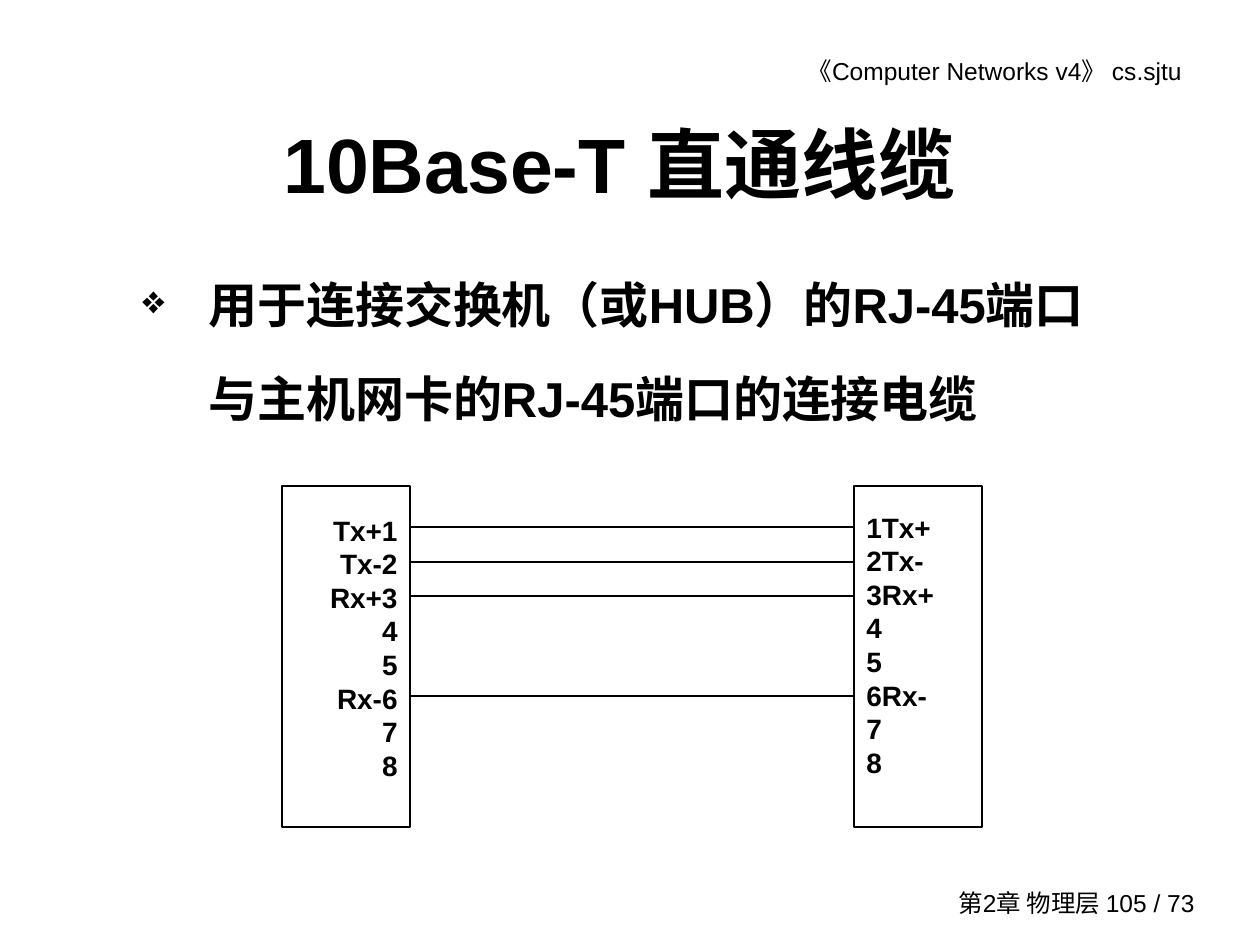
from lxml import etree
from pptx import Presentation
from pptx.dml.color import RGBColor
from pptx.enum.shapes import MSO_CONNECTOR, MSO_SHAPE
from pptx.enum.text import MSO_ANCHOR, PP_ALIGN
from pptx.oxml.ns import qn
from pptx.util import Emu, Pt

LEFT, RIGHT, CENTER, JUSTIFY = PP_ALIGN.LEFT, PP_ALIGN.RIGHT, PP_ALIGN.CENTER, PP_ALIGN.JUSTIFY
TOP, MIDDLE = MSO_ANCHOR.TOP, MSO_ANCHOR.MIDDLE
RECTANGLE = MSO_SHAPE.RECTANGLE
STRAIGHT = MSO_CONNECTOR.STRAIGHT
BLACK = RGBColor(0x00, 0x00, 0x00)
FONT = "Arial"
PX_PER_INCH = 126


def px(count):
    return Emu(round(count * 914400 / PX_PER_INCH))


def add_text(bounds, lines, size, align, anchor=TOP, bold=False):
    frame = slide.shapes.add_textbox(*map(px, bounds)).text_frame
    frame.word_wrap = True
    frame.vertical_anchor = anchor
    for index, line in enumerate(lines):
        paragraph = frame.add_paragraph() if index else frame.paragraphs[0]
        paragraph.alignment = align
        run = paragraph.add_run()
        run.text = line
        run.font.name = FONT
        run.font.size = Pt(size)
        run.font.bold = bold
        run.font.color.rgb = BLACK
    return frame


deck = Presentation()
deck.slide_width, deck.slide_height = px(1260), px(945)
slide = deck.slides.add_slide(deck.slide_layouts[6])

add_text((665, 50, 529, 43), ["《Computer Networks v4》 cs.sjtu"], 14, RIGHT)
add_text((922, 882, 285, 42), ["第2章 物理层 105 / 73"], 14, RIGHT, MIDDLE)
add_text((84, 84, 1071, 158), ["10Base-T 直通线缆"], 44, CENTER, MIDDLE, True)

purpose = add_text(
    (130, 233, 1014, 270),
    ["用于连接交换机（或HUB）的RJ-45端口与主机网卡的RJ-45端口的连接电缆"],
    28, LEFT, bold=True,
).paragraphs[0]
purpose.line_spacing = 1.6
properties = purpose._p.get_or_add_pPr()
properties.set("marL", str(px(66)))
properties.set("indent", str(px(-66)))
bullet_color = etree.SubElement(properties, qn("a:buClr"))
etree.SubElement(bullet_color, qn("a:srgbClr"), val=str(BLACK))
etree.SubElement(properties, qn("a:buSzPct"), val="80000")
etree.SubElement(properties, qn("a:buChar"), char="❖")

PORT_TOP, PORT_WIDTH, PORT_HEIGHT = 486, 128, 341
HOST_LEFT, SWITCH_LEFT = 282, 854
for port_left in (HOST_LEFT, SWITCH_LEFT):
    port = slide.shapes.add_shape(
        RECTANGLE, px(port_left), px(PORT_TOP), px(PORT_WIDTH), px(PORT_HEIGHT))
    port.shadow.inherit = False
    port.fill.background()
    port.line.color.rgb = BLACK
    port.line.width = Pt(0.75)

signals = ["Tx+", "Tx-", "Rx+", "", "", "Rx-", "", ""]
host_pins = [f"{signal}{pin}" for pin, signal in enumerate(signals, 1)]
switch_pins = [f"{pin}{signal}" for pin, signal in enumerate(signals, 1)]
add_text((273, 507, 137, 297), host_pins, 16, RIGHT, bold=True)
add_text((SWITCH_LEFT, 504, 137, 297), switch_pins, 16, JUSTIFY, bold=True)

for wire_y in (527, 562, 596, 696):
    wire = slide.shapes.add_connector(
        STRAIGHT, px(HOST_LEFT + PORT_WIDTH), px(wire_y), px(SWITCH_LEFT), px(wire_y))
    wire.line.color.rgb = BLACK
    wire.line.width = Pt(0.75)
    etree.SubElement(wire._element.spPr, qn("a:effectLst"))

deck.save("out.pptx")
